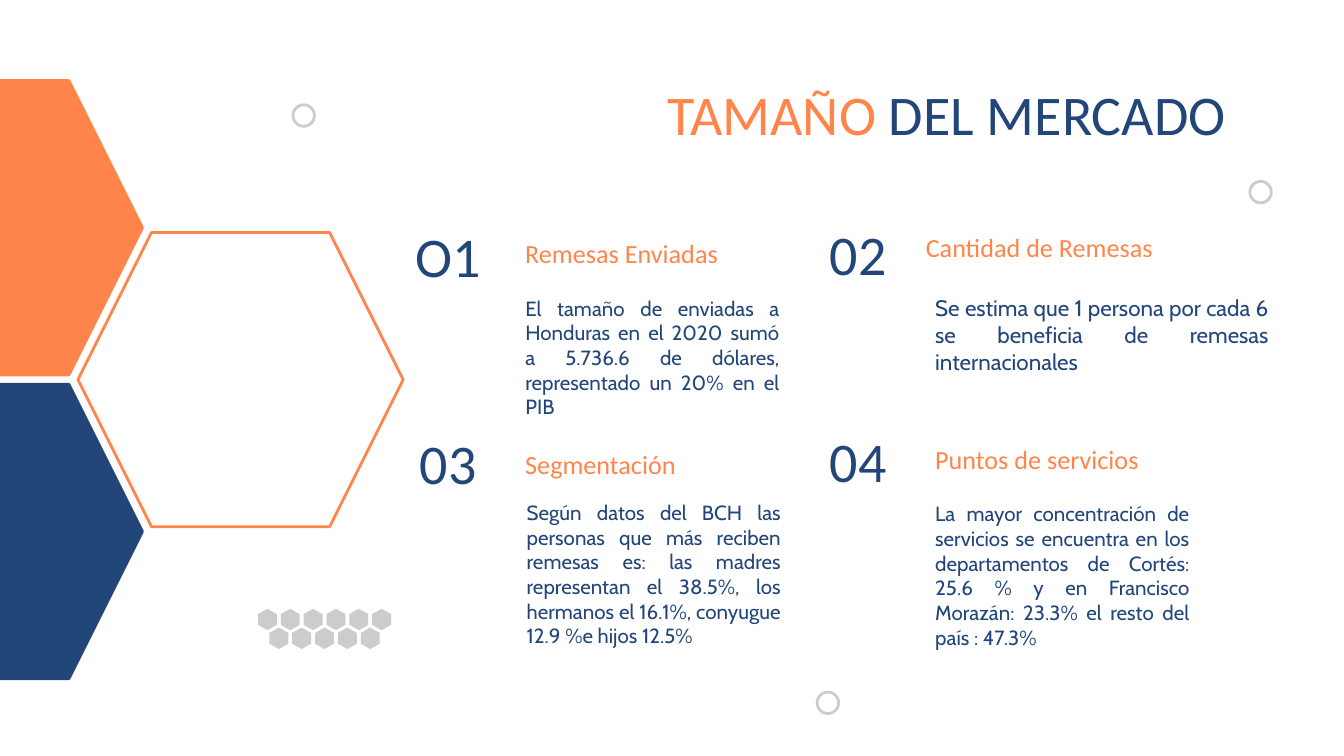
from dataclasses import dataclass

from pptx import Presentation
from pptx.dml.color import RGBColor
from pptx.enum import shapes, text
from pptx.util import Inches, Pt


@dataclass(frozen=True)
class Theme:
    orange: str = "FF854A"
    navy: str = "22467A"
    grey: str = "CCCCCC"
    heading_font: str = "Calibri"
    body_font: str = "Cabin"
    display: int = 30
    heading: int = 14
    body: int = 11
    body_large: int = 12
    outline: float = 1.5


THEME = Theme()


@dataclass(frozen=True)
class Topic:
    number: str
    heading: str
    body: str
    left: float
    top: float
    heading_at: tuple = (0.95, 0)
    body_at: tuple = (0.95, 0.43)
    body_width: float = 2.09
    body_size: int = THEME.body


TOPICS = [
    Topic("O1", "Remesas Enviadas",
          "El tamaño de enviadas a Honduras en el 2020 sumó a 5.736.6 de dólares, "
          "representado un 20% en el PIB", 2.86, 1.67),
    Topic("02", "Cantidad de Remesas",
          "Se estima que 1 persona por cada 6 se beneficia de remesas internacionales",
          5.91, 1.66, heading_at=(0.88, -0.04), body_width=2.68,
          body_size=THEME.body_large),
    Topic("03", "Segmentación",
          "Según datos del BCH las personas que más reciben remesas es: las madres "
          "representan el 38.5%, los hermanos el 16.1%, conyugue 12.9 %e hijos 12.5%",
          2.86, 3.21, heading_at=(0.95, 0.03), body_at=(0.96, 0.41)),
    Topic("04", "Puntos de servicios",
          "La mayor concentración de servicios se encuentra en los departamentos de "
          "Cortés: 25.6 % y en Francisco Morazán: 23.3% el resto del país : 47.3%",
          5.91, 3.2),
]


def add_text(slide, box, runs, size, font=THEME.heading_font,
             align=text.PP_ALIGN.LEFT, anchor=text.MSO_ANCHOR.TOP):
    frame = slide.shapes.add_textbox(*map(Inches, box)).text_frame
    frame.word_wrap = True
    frame.vertical_anchor = anchor
    frame.margin_left = frame.margin_right = Inches(0.1)
    frame.margin_top = frame.margin_bottom = Inches(0.1)
    paragraph = frame.paragraphs[0]
    paragraph.alignment = align
    for words, color in runs:
        run = paragraph.add_run()
        run.text = words
        run.font.size = Pt(size)
        run.font.name = font
        run.font.color.rgb = RGBColor.from_string(color)


def paint(shape, fill=None, line=None):
    shape.shadow.inherit = False
    if fill:
        shape.fill.solid()
        shape.fill.fore_color.rgb = RGBColor.from_string(fill)
    else:
        shape.fill.background()
    if line:
        shape.line.color.rgb = RGBColor.from_string(line)
        shape.line.width = Pt(THEME.outline)
    else:
        shape.line.fill.background()


def draw_title(slide, box):
    add_text(slide, box, [("TAMAÑO ", THEME.orange), ("DEL MERCADO", THEME.navy)],
             THEME.display, align=text.PP_ALIGN.RIGHT)


def draw_topic(slide, topic):
    def place(offset, width, height):
        return topic.left + offset[0], topic.top + offset[1], width, height

    add_text(slide, place((0, 0), 0.95, 0.45), [(topic.number, THEME.navy)],
             THEME.display, align=text.PP_ALIGN.CENTER, anchor=text.MSO_ANCHOR.MIDDLE)
    add_text(slide, place(topic.heading_at, 2.6, 0.5),
             [(topic.heading, THEME.orange)], THEME.heading)
    add_text(slide, place(topic.body_at, topic.body_width, 1.13),
             [(topic.body, THEME.navy)], topic.body_size, THEME.body_font,
             align=text.PP_ALIGN.JUSTIFY)


def draw_large_hexagons(slide, left, top):
    step_x, step_y = 1.94, 1.13
    styles = [(THEME.orange, THEME.orange), (None, THEME.orange),
              (THEME.navy, THEME.navy)]
    for row, (fill, line) in enumerate(styles):
        hexagon = slide.shapes.add_shape(
            shapes.MSO_SHAPE.HEXAGON, Inches(left + row % 2 * step_x),
            Inches(top + row * step_y), Inches(2.42), Inches(2.19))
        hexagon.adjustments[0] = 0.25
        paint(hexagon, fill, line)


def draw_honeycomb(slide, left, top):
    width, height, step_x, step_y = 0.14, 0.16, 0.17, 0.14
    outline = [(0.5, 0), (0, 0.25), (0, 0.75), (0.5, 1), (1, 0.75), (1, 0.25)]
    cells = slide.shapes.add_group_shape()
    for row, count in enumerate((6, 5)):
        for column in range(count):
            x = left + (column + row / 2) * step_x
            y = top + row * step_y
            points = [(Inches(x + across * width), Inches(y + down * height))
                      for across, down in outline]
            builder = cells.shapes.build_freeform(*points[0])
            builder.add_line_segments(points[1:], close=True)
            paint(builder.convert_to_shape(), fill=THEME.grey)


def draw_ring(slide, left, top):
    ring = slide.shapes.add_shape(shapes.MSO_SHAPE.OVAL, Inches(left), Inches(top),
                                  Inches(0.16), Inches(0.16))
    paint(ring, line=THEME.grey)


def main():
    deck = Presentation()
    deck.slide_width, deck.slide_height = Inches(10), Inches(10 * 9 / 16)
    slide = deck.slides.add_slide(deck.slide_layouts[6])
    draw_title(slide, (0.78, 0.49, 8.44, 0.63))
    for topic in TOPICS:
        draw_topic(slide, topic)
    draw_large_hexagons(slide, -1.36, 0.6)
    draw_honeycomb(slide, 1.92, 4.53)
    for left, top in [(6.08, 5.15), (2.18, 0.78), (9.3, 1.35)]:
        draw_ring(slide, left, top)
    deck.save("out.pptx")


if __name__ == "__main__":
    main()
